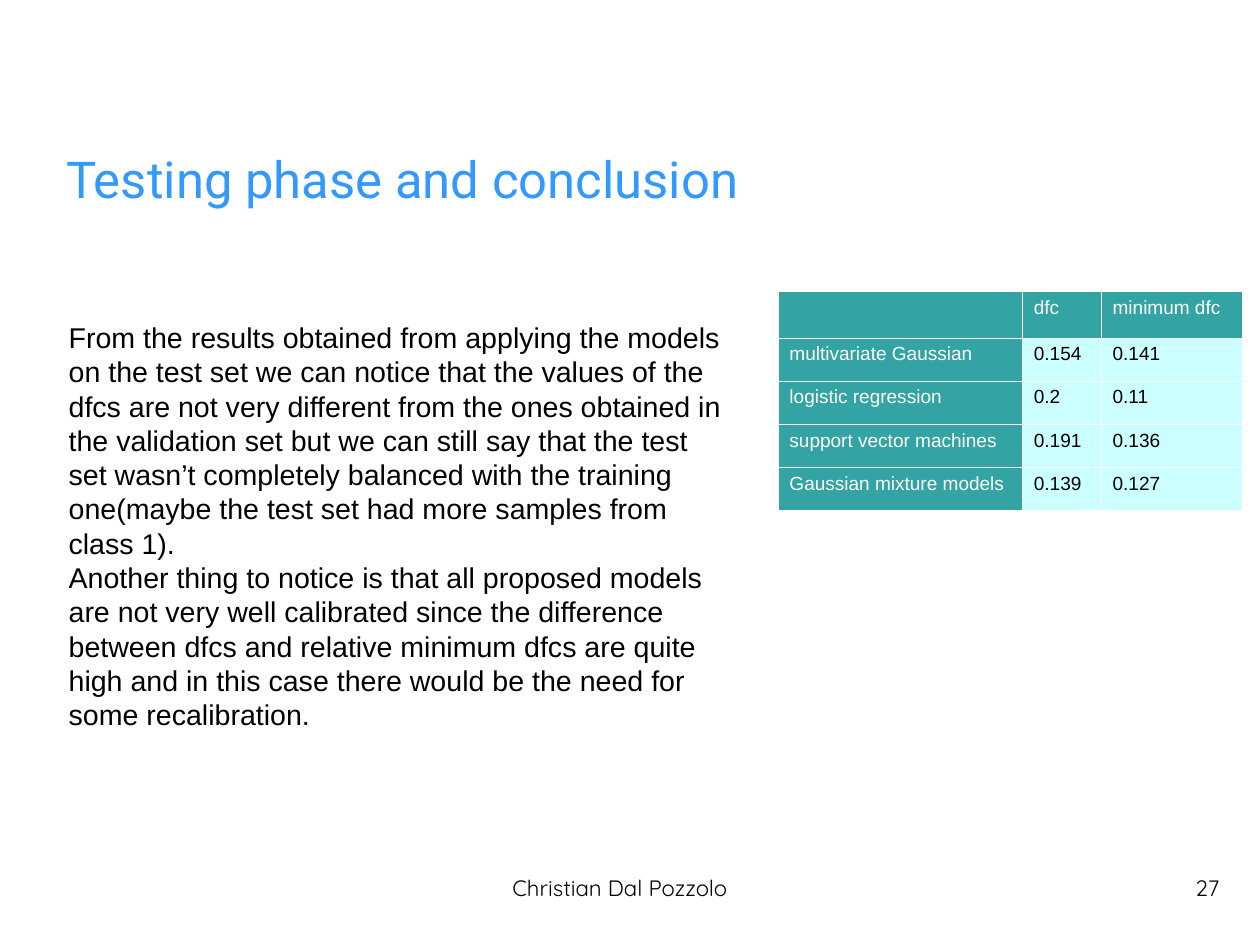
from lxml import etree
from pptx import Presentation
from pptx.dml.color import RGBColor
from pptx.enum.text import MSO_ANCHOR, PP_ALIGN
from pptx.oxml.ns import qn
from pptx.util import Emu, Inches, Pt

TITLE = "Testing phase and conclusion"
DISCUSSION = [
    "From the results obtained from applying the models on the test set we can notice "
    "that the values of the dfcs are not very different from the ones obtained in the "
    "validation set but we can still say that the test set wasn’t completely balanced "
    "with the training one(maybe the test set had more samples from class 1).",
    "Another thing to notice is that all proposed models are not very well calibrated "
    "since the difference between dfcs and relative minimum dfcs are quite high and in "
    "this case there would be the need for some recalibration.",
]
RESULTS = [
    ("", "dfc", "minimum dfc"),
    ("multivariate Gaussian", "0.154", "0.141"),
    ("logistic regression", "0.2", "0.11"),
    ("support vector machines", "0.191", "0.136"),
    ("Gaussian mixture models", "0.139", "0.127"),
]
AUTHOR = "Christian Dal Pozzolo"
PAGE = "27"

LEFT, CENTER, RIGHT = PP_ALIGN.LEFT, PP_ALIGN.CENTER, PP_ALIGN.RIGHT
TOP, MIDDLE = MSO_ANCHOR.TOP, MSO_ANCHOR.MIDDLE
BLUE = RGBColor(0x33, 0x99, 0xFF)
TEAL = RGBColor(0x33, 0xA3, 0xA3)
PALE = RGBColor(0xCC, 0xFF, 0xFF)
WHITE = RGBColor(0xFF, 0xFF, 0xFF)
BLACK = RGBColor(0, 0, 0)

SLIDE_W, SLIDE_H = Emu(10080625), Emu(7559675)
TITLE_AREA = (5.25, 10.52, 90, 16.69)
DISCUSSION_AREA = (4.54, 33.25, 54.43, 41.85)
RESULTS_AREA = (61.75, 30.83, 36.8, 22.85)
FOOTERS = [
    (AUTHOR, (39.18, 92.5, 20.05, 6.89), CENTER),
    (PAGE, (78.92, 92.5, 17.87, 6.89), RIGHT),
]
COLUMN_WEIGHTS = (2.14, 0.69, 1.23)
BORDER_WIDTH = Pt(0.06)


def place(area):
    return [Emu(int(side * share / 100))
            for side, share in zip((SLIDE_W, SLIDE_H) * 2, area)]


def write(paragraph, text, size, font, color, align=LEFT):
    paragraph.alignment = align
    paragraph.space_before = Pt(0)
    run = paragraph.add_run()
    run.text = text
    run.font.size = Pt(size)
    run.font.name = font
    run.font.color.rgb = color


def set_frame(holder, area, anchor=TOP, inset=(0, 0)):
    holder.left, holder.top, holder.width, holder.height = place(area)
    frame = holder.text_frame
    frame.word_wrap = True
    frame.vertical_anchor = anchor
    frame.margin_left = frame.margin_right = Inches(inset[0])
    frame.margin_top = frame.margin_bottom = Inches(inset[1])
    return frame


def remove_bullet(paragraph):
    properties = paragraph._p.get_or_add_pPr()
    properties.set("marL", "0")
    properties.set("indent", "0")
    etree.SubElement(properties, qn("a:buNone"))


def add_borders(cell):
    properties = cell._tc.get_or_add_tcPr()
    for side in ("a:lnL", "a:lnR", "a:lnT", "a:lnB"):
        line = etree.SubElement(properties, qn(side), w=str(int(BORDER_WIDTH)))
        fill = etree.SubElement(line, qn("a:solidFill"))
        etree.SubElement(fill, qn("a:srgbClr"), val=str(WHITE))


def add_results(slide):
    table = slide.shapes.add_table(
        len(RESULTS), len(COLUMN_WEIGHTS), *place(RESULTS_AREA)).table
    table.first_row = table.horz_banding = False
    table_width = place(RESULTS_AREA)[2]
    for column, weight in zip(table.columns, COLUMN_WEIGHTS):
        column.width = int(table_width * weight / sum(COLUMN_WEIGHTS))
    for r, values in enumerate(RESULTS):
        for c, value in enumerate(values):
            heading = r == 0 or c == 0
            cell = table.cell(r, c)
            add_borders(cell)
            cell.fill.solid()
            cell.fill.fore_color.rgb = TEAL if heading else PALE
            if value:
                write(cell.text_frame.paragraphs[0], value, 12, "Arial",
                      WHITE if heading else BLACK)


def main():
    deck = Presentation()
    deck.slide_width, deck.slide_height = SLIDE_W, SLIDE_H
    slide = deck.slides.add_slide(deck.slide_layouts[1])

    heading = set_frame(slide.shapes.title, TITLE_AREA, MIDDLE)
    write(heading.paragraphs[0], TITLE, 32, "Roboto", BLUE)

    discussion = set_frame(slide.placeholders[1], DISCUSSION_AREA, inset=(0.1, 0.05))
    for i, text in enumerate(DISCUSSION):
        paragraph = discussion.add_paragraph() if i else discussion.paragraphs[0]
        write(paragraph, text, 18, "Arial", BLACK)
        remove_bullet(paragraph)

    add_results(slide)

    for text, area, align in FOOTERS:
        footer = set_frame(slide.shapes.add_textbox(*place(area)), area)
        write(footer.paragraphs[0], text, 14, "Quicksand", BLACK, align)

    deck.save("out.pptx")


if __name__ == "__main__":
    main()
